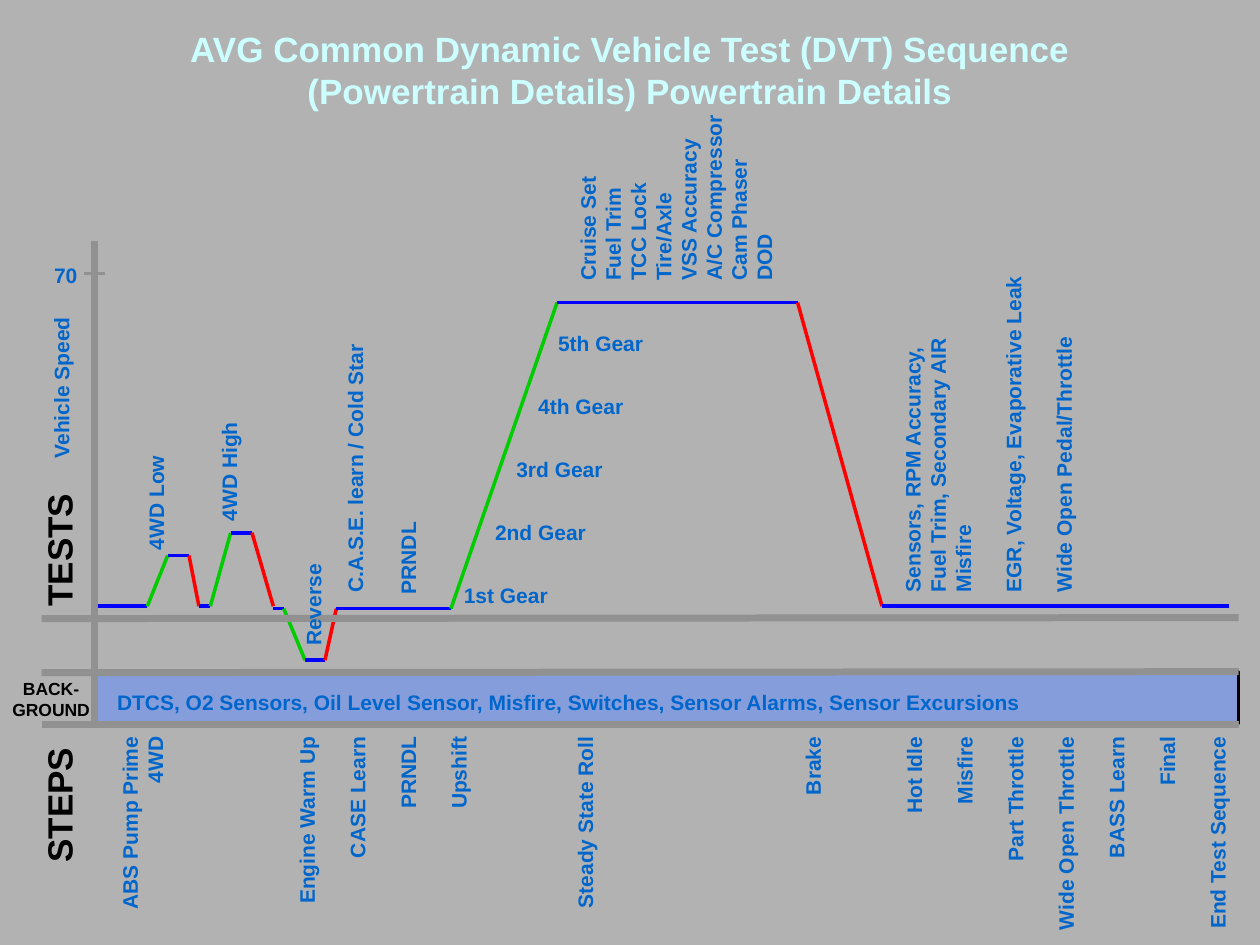
"""Builds the dynamic vehicle test sequence slide."""
from lxml.etree import SubElement
from pptx import Presentation
from pptx.dml.color import RGBColor
from pptx.enum.shapes import MSO_CONNECTOR as Connector, MSO_SHAPE as Shape
from pptx.enum.text import MSO_ANCHOR as Anchor, PP_ALIGN as Align
from pptx.oxml.ns import qn
from pptx.util import Cm, Pt

COLORS = {
    "background": "B2B2B2", "title": "CCFFFF", "label": "0066CC",
    "black": "000000", "axis": "919191", "band": "618FFD",
    "steady": "0000FF", "accelerate": "00CC00", "brake": "FF0000",
}
LINE_PITCH = 0.51


def color(name):
    return RGBColor.from_string(COLORS[name])


class SequenceSlide:
    """Holds the text style and the slide being drawn."""

    font_name = "Arial"

    def __init__(self, presentation):
        self.slide = presentation.slides.add_slide(presentation.slide_layouts[5])
        fill = self.slide.background.fill
        fill.solid()
        fill.fore_color.rgb = color("background")

    def add_lines(self, shape, lines, size, color_name, align):
        frame = shape.text_frame
        frame.word_wrap = True
        frame.vertical_anchor = Anchor.MIDDLE
        frame.margin_left = frame.margin_right = 0
        frame.margin_top = frame.margin_bottom = 0
        for index, line in enumerate(lines):
            paragraph = frame.add_paragraph() if index else frame.paragraphs[0]
            paragraph.alignment = align
            run = paragraph.add_run()
            run.text = line
            run.font.name = self.font_name
            run.font.size = Pt(size)
            run.font.bold = True
            run.font.color.rgb = color(color_name)

    def title(self, lines, left, top, width, height):
        shape = self.slide.shapes.title
        shape.left, shape.top = Cm(left), Cm(top)
        shape.width, shape.height = Cm(width), Cm(height)
        self.add_lines(shape, lines, 20, "title", Align.CENTER)

    def label(self, lines, left, middle, width, size=12, color_name="label",
              align=Align.LEFT):
        height = LINE_PITCH * len(lines) * size / 12
        shape = self.slide.shapes.add_textbox(
            Cm(left), Cm(middle - height / 2), Cm(width), Cm(height))
        self.add_lines(shape, lines, size, color_name, align)
        return shape

    def upright(self, lines, center, bottom, length, **style):
        shape = self.label(lines, center - length / 2, bottom - length / 2,
                           length, **style)
        shape.rotation = 270

    def line(self, start, end, color_name, width):
        connector = self.slide.shapes.add_connector(
            Connector.STRAIGHT, *(Cm(value) for value in (*start, *end)))
        connector.line.color.rgb = color(color_name)
        connector.line.width = Pt(width)
        SubElement(connector._element.spPr, qn("a:effectLst"))

    def trace(self, start, legs):
        for color_name, *end in legs:
            self.line(start, end, color_name, 2)
            start = end

    def band(self, left, top, width, height, opacity):
        shape = self.slide.shapes.add_shape(
            Shape.RECTANGLE, Cm(left), Cm(top), Cm(width), Cm(height))
        shape.shadow.inherit = False
        shape.fill.solid()
        shape.fill.fore_color.rgb = color("band")
        rgb = shape._element.spPr.find(qn("a:solidFill")).find(qn("a:srgbClr"))
        SubElement(rgb, qn("a:alpha")).set("val", str(opacity * 1000))
        shape.line.color.rgb = color("black")
        shape.line.width = Pt(1.5)


def draw_speed(page):
    page.trace((1.9, 12.22), [
        ("steady", 2.97, 12.22), ("accelerate", 3.38, 11.2),
        ("steady", 3.81, 11.2), ("brake", 4.01, 12.22),
        ("steady", 4.24, 12.22), ("accelerate", 4.65, 10.74),
        ("steady", 5.08, 10.74), ("brake", 5.51, 12.22),
    ])
    page.trace((5.51, 12.27), [
        ("steady", 5.72, 12.27), ("accelerate", 6.15, 13.31),
        ("steady", 6.55, 13.31), ("brake", 6.78, 12.27),
        ("steady", 9.09, 12.27), ("accelerate", 11.23, 6.1),
        ("steady", 16.08, 6.1), ("brake", 17.78, 12.22),
        ("steady", 24.77, 12.22),
    ])


def draw_axes(page):
    page.line((1.9, 4.85), (1.9, 14.6), "axis", 4)
    page.line((1.7, 5.51), (2.11, 5.51), "axis", 1.5)
    for left_end, right_end in ((12.47, 12.45), (13.56, 13.54), (14.6, 14.6)):
        page.line((0.84, left_end), (24.97, right_end), "axis", 4)
    page.label(["70"], 1.09, 5.54, 0.6)
    page.upright(["Vehicle Speed"], 1.23, 9.24, 3.1)
    page.upright(["TESTS"], 1.18, 12.23, 2.6, size=20, color_name="black")
    page.upright(["STEPS"], 1.18, 17.39, 2.6, size=20, color_name="black")
    page.label(["BACK-", "GROUND"], 0, 14.1, 2.06, size=10,
               color_name="black", align=Align.CENTER)


def draw_tests(page):
    tests = [
        (["4WD Low"], 3.14, 11.09, 2.6),
        (["4WD High"], 4.61, 10.51, 2.7),
        (["Reverse"], 6.31, 13.02, 2.6),
        (["C.A.S.E. learn / Cold Star"], 7.15, 11.95, 6.2),
        (["PRNDL"], 8.22, 11.98, 2.7),
        (["Cruise Set", "Fuel Trim", "TCC Lock", "Tire/Axle", "VSS Accuracy",
          "A/C Compressor", "Cam Phaser", "DOD"], 13.62, 5.66, 3.6),
        (["Sensors, RPM Accuracy,", "Fuel Trim, Secondary AIR", "Misfire"],
         18.9, 11.94, 6.6),
        (["EGR, Voltage, Evaporative Leak"], 20.42, 11.94, 6.6),
        (["Wide Open Pedal/Throttle"], 21.44, 11.94, 6.6),
    ]
    for lines, center, bottom, length in tests:
        page.upright(lines, center, bottom, length)
    gears = [("1st", 9.35), ("2nd", 9.98), ("3rd", 10.41), ("4th", 10.85),
             ("5th", 11.25)]
    for index, (gear, left) in enumerate(gears):
        page.label([f"{gear} Gear"], left, 11.99 - 1.27 * index, 4)
    page.label(["DTCS, O2 Sensors, Oil Level Sensor, Misfire, Switches, "
                "Sensor Alarms, Sensor Excursions"], 2.36, 14.15, 21.9)


def draw_steps(page):
    steps = {
        1: "ABS Pump Prime", 2: "4WD", 8: "Engine Warm Up", 10: "CASE Learn",
        12: "PRNDL", 14: "Upshift", 19: "Steady State Roll", 28: "Brake",
        32: "Hot Idle", 34: "Misfire", 36: "Part Throttle",
        38: "Wide Open Throttle", 40: "BASS Learn", 42: "Final",
        44: "End Test Sequence",
    }
    for column, step in steps.items():
        page.upright([step], 2.1 + LINE_PITCH * column, 18.95, 4.1,
                     align=Align.RIGHT)


def main():
    presentation = Presentation()
    presentation.slide_width, presentation.slide_height = Cm(25.4), Cm(19.05)
    page = SequenceSlide(presentation)
    page.title(["AVG Common Dynamic Vehicle Test (DVT) Sequence",
                "(Powertrain Details) Powertrain Details"],
               0, 0.43, 25.4, 1.96)
    page.band(1.9, 13.54, 23.07, 1.06, opacity=55)
    draw_speed(page)
    draw_axes(page)
    draw_tests(page)
    draw_steps(page)
    presentation.save("out.pptx")


if __name__ == "__main__":
    main()
